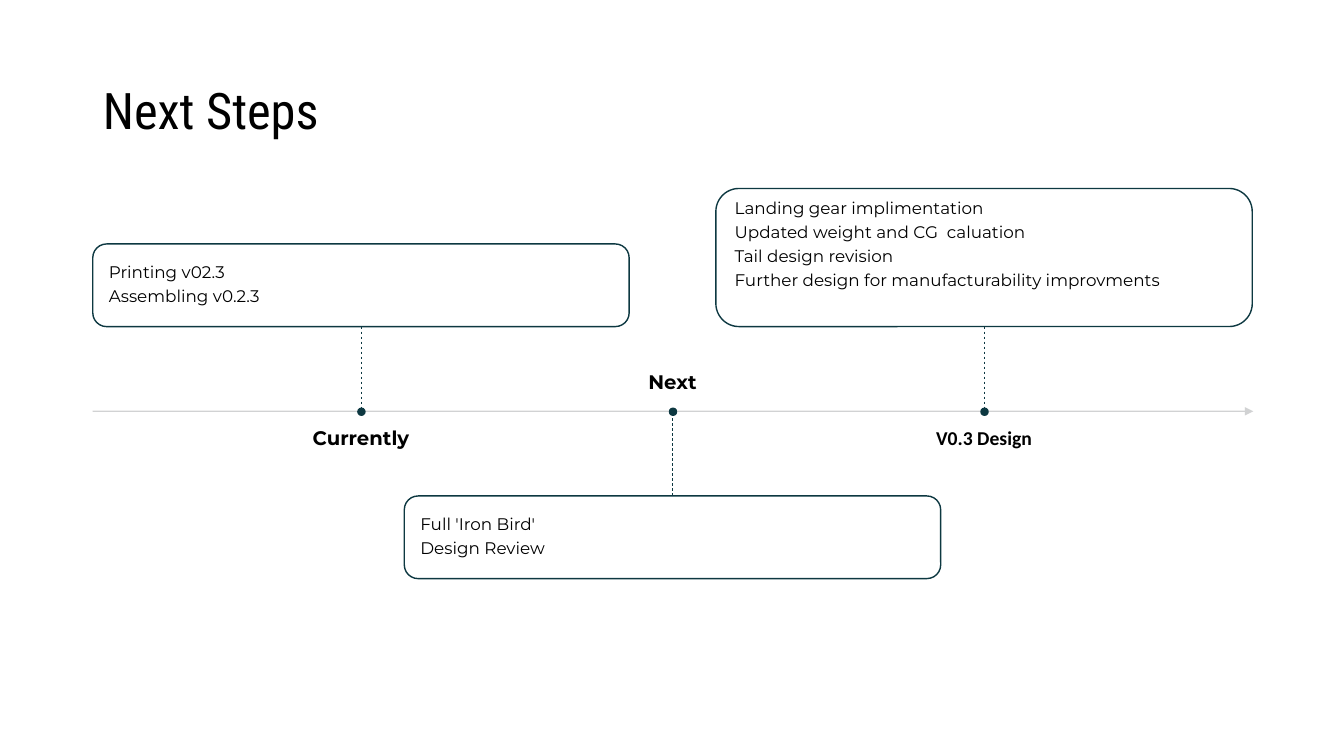
import pptx
import pptx.util
import pptx.dml.color
import pptx.enum.dml
import pptx.enum.shapes
import pptx.enum.text
import pptx.oxml.ns
from lxml import etree

EMU_PER_PX = 9144
ANCHOR = pptx.enum.text.MSO_ANCHOR
ALIGN = pptx.enum.text.PP_ALIGN
SHAPE = pptx.enum.shapes.MSO_SHAPE
TITLE_ONLY = 5


def px(length):
    return pptx.util.Emu(length * EMU_PER_PX)


def colour(hex_string):
    return pptx.dml.color.RGBColor.from_string(hex_string)


def tag(name):
    return pptx.oxml.ns.qn(name)


class TimelineSlide:
    teal, grey, white, black = "0D3841", "CCCECF", "FFFFFF", "000000"
    body_font, title_font = "Montserrat", "Roboto Condensed"

    def __init__(self, slide):
        self.slide = slide

    def set_text(self, shape, lines, size, font, bold=False, align=ALIGN.LEFT,
                 anchor=ANCHOR.MIDDLE, insets=None, space_after=0):
        frame = shape.text_frame
        frame.text = "\n".join(lines)
        frame.word_wrap = True
        frame.vertical_anchor = anchor
        if insets:
            (frame.margin_left, frame.margin_top,
             frame.margin_right, frame.margin_bottom) = map(px, insets)
        for paragraph in frame.paragraphs:
            paragraph.alignment = align
            paragraph.line_spacing = 0.9
            paragraph.space_after = pptx.util.Pt(space_after)
            for run in paragraph.runs:
                run.font.size = pptx.util.Pt(size)
                run.font.name = font
                run.font.bold = bold
                run.font.color.rgb = colour(self.black)

    def set_alpha(self, parent, percent):
        """Make the solid fill of an XML parent partly transparent."""
        colour_element = parent.find(tag("a:solidFill")).find(tag("a:srgbClr"))
        etree.SubElement(colour_element, tag("a:alpha")).set("val", str(percent * 1000))

    def title(self, text, left, top, width, height):
        shape = self.slide.shapes.title
        shape.left, shape.top, shape.width, shape.height = map(px, (left, top, width, height))
        self.set_text(shape, [text], 36, self.title_font)

    def label(self, text, left, top, width, height, font, anchor):
        shape = self.slide.shapes.add_textbox(*map(px, (left, top, width, height)))
        self.set_text(shape, [text], 14, font, bold=True, align=ALIGN.CENTER,
                      anchor=anchor, insets=(0, 0, 0, 0))

    def shape(self, kind, left, top, width, height, fill):
        shape = self.slide.shapes.add_shape(kind, *map(px, (left, top, width, height)))
        shape.shadow.inherit = False
        shape.fill.solid()
        shape.fill.fore_color.rgb = colour(fill)
        shape.line.color.rgb = colour(self.teal)
        shape.line.width = pptx.util.Pt(1)
        return shape

    def card(self, lines, left, top, width, height, insets):
        shape = self.shape(SHAPE.ROUNDED_RECTANGLE, left, top, width, height, self.white)
        self.set_alpha(shape.element.spPr, 90)
        self.set_text(shape, lines, 12, self.body_font, insets=insets, space_after=4.2)
        return shape

    def line(self, start_x, start_y, end_x, end_y, line_colour, width):
        connector = self.slide.shapes.add_connector(
            pptx.enum.shapes.MSO_CONNECTOR.STRAIGHT, *map(px, (start_x, start_y, end_x, end_y)))
        connector.line.color.rgb = colour(line_colour)
        connector.line.width = pptx.util.Pt(width)
        etree.SubElement(connector.element.spPr, tag("a:effectLst"))
        return connector

    def axis(self, left, right, y):
        connector = self.line(left, y, right, y, self.grey, 1)
        outline = connector.element.spPr.find(tag("a:ln"))
        self.set_alpha(outline, 90)
        etree.SubElement(outline, tag("a:tailEnd")).set("type", "triangle")

    def stem(self, card, site, x, card_y, axis_y):
        connector = self.line(x, card_y, x, axis_y, self.teal, 0.5)
        connector.line.dash_style = pptx.enum.dml.MSO_LINE.DASH
        connector.begin_connect(card, site)

    def dot(self, x, y):
        self.shape(SHAPE.OVAL, x - 3, y - 3, 7, 7, self.teal)


def main():
    presentation = pptx.Presentation()
    presentation.slide_width, presentation.slide_height = px(1333), px(750)
    timeline = TimelineSlide(
        presentation.slides.add_slide(presentation.slide_layouts[TITLE_ONLY]))

    # Title and time axis
    axis_y, card_gap, label_gap = 408, 84, 17
    timeline.title("Next Steps", 92, 40, 1150, 145)
    timeline.axis(92, 1243, axis_y)

    # Milestones: label, label font, card lines, card height, card insets, card above axis
    even = (12, 12, 12, 12)
    milestones = [
        ("Currently", "Montserrat", ["Printing v02.3", "Assembling v0.2.3"], 82, even, True),
        ("Next", "Montserrat", ["Full 'Iron Bird'", "Design Review"], 82, even, False),
        ("V0.3 Design", "Calibri",
         ["Landing gear implimentation", "Updated weight and CG  caluation",
          "Tail design revision", "Further design for manufacturability improvments"],
         137, (12, 0, 12, 25), True),
    ]
    first_x, step, card_width, label_width, label_height = 358, 309, 532, 468, 50
    for index, (name, font, lines, height, insets, above) in enumerate(milestones):
        x = first_x + index * step
        if above:
            card_y, site = axis_y - card_gap, 2
            card_top, label_top, anchor = card_y - height, axis_y + label_gap, ANCHOR.TOP
        else:
            card_y, site = axis_y + card_gap, 0
            card_top, anchor = card_y, ANCHOR.BOTTOM
            label_top = axis_y - label_gap - label_height
        timeline.label(name, x - label_width // 2, label_top, label_width, label_height,
                       font, anchor)
        card = timeline.card(lines, x - card_width // 2, card_top, card_width, height, insets)
        timeline.stem(card, site, x, card_y, axis_y)
        timeline.dot(x, axis_y)

    presentation.save("out.pptx")


if __name__ == "__main__":
    main()
